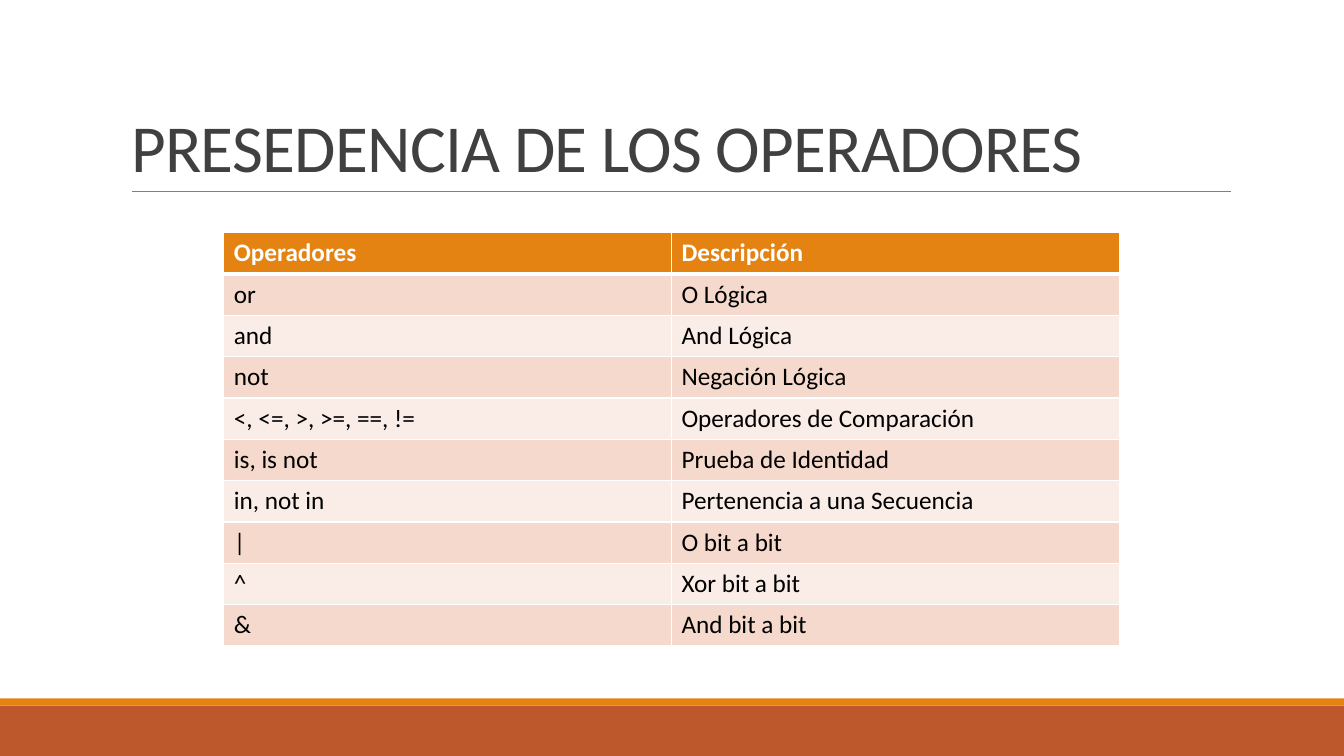
from lxml.etree import SubElement
from pptx import Presentation
from pptx.dml.color import RGBColor
from pptx.enum.shapes import MSO_CONNECTOR, MSO_SHAPE
from pptx.enum.text import MSO_ANCHOR, MSO_AUTO_SIZE, PP_ALIGN
from pptx.oxml.ns import qn
from pptx.util import Inches, Pt

COLORS = {
    "footer": "BD582C",
    "accent": "E48312",
    "rule": "808080",
    "title": "404040",
    "white": "FFFFFF",
    "black": "000000",
    "band_dark": "F5D9CC",
    "band_light": "FAEDE7",
}

OPERATORS = [
    ("Operadores", "Descripción"),
    ("or", "O Lógica"),
    ("and", "And Lógica"),
    ("not", "Negación Lógica"),
    ("<, <=, >, >=, ==, !=", "Operadores de Comparación"),
    ("is, is not", "Prueba de Identidad"),
    ("in, not in", "Pertenencia a una Secuencia"),
    ("|", "O bit a bit"),
    ("^", "Xor bit a bit"),
    ("&", "And bit a bit"),
]


def rgb(name):
    return RGBColor.from_string(COLORS[name])


class SlideBuilder:
    font_name = "Calibri"

    def __init__(self, slide):
        self.slide = slide

    def run(self, paragraph, text, size, color, bold=False):
        run = paragraph.add_run()
        run.text = text
        run.font.name = self.font_name
        run.font.size = Pt(size)
        run.font.bold = bold
        run.font.color.rgb = rgb(color)
        return run

    def band(self, top, height, color):
        band = self.slide.shapes.add_shape(
            MSO_SHAPE.RECTANGLE, 0, Inches(top), Inches(13.33), Inches(height))
        band.shadow.inherit = False
        band.fill.solid()
        band.fill.fore_color.rgb = rgb(color)
        band.line.fill.background()

    def rule(self, left, right, top):
        rule = self.slide.shapes.add_connector(
            MSO_CONNECTOR.STRAIGHT, Inches(left), Inches(top), Inches(right), Inches(top))
        rule.line.color.rgb = rgb("rule")
        rule.line.width = Pt(0.5)
        SubElement(rule._element.spPr, qn("a:effectLst"))

    def title(self, text, left, top, width, height):
        title = self.slide.shapes.title
        title.left, title.top = Inches(left), Inches(top)
        title.width, title.height = Inches(width), Inches(height)
        frame = title.text_frame
        frame.word_wrap = True
        frame.auto_size = MSO_AUTO_SIZE.NONE
        frame.vertical_anchor = MSO_ANCHOR.BOTTOM
        heading = frame.paragraphs[0]
        heading.alignment = PP_ALIGN.LEFT
        heading.line_spacing = 0.85
        run = self.run(heading, text, 48, "title")
        run.font._element.set("spc", "-50")

    def borders(self, cell, widths):
        properties = cell._tc.get_or_add_tcPr()
        for side, width in widths.items():
            border = SubElement(properties, qn(f"a:ln{side}"), w=str(Pt(width)))
            fill = SubElement(border, qn("a:solidFill"))
            SubElement(fill, qn("a:srgbClr"), val=COLORS["white"])

    def table(self, rows, left, top, column_width, row_height):
        columns = len(rows[0])
        table = self.slide.shapes.add_table(
            len(rows), columns, Inches(left), Inches(top),
            Inches(column_width * columns), Inches(row_height * len(rows))).table
        for column in table.columns:
            column.width = Inches(column_width)
        for index, texts in enumerate(rows):
            table.rows[index].height = Inches(row_height)
            header = index == 0
            band = "band_dark" if index % 2 else "band_light"
            for cell, text in zip(table.rows[index].cells, texts):
                self.borders(cell, {
                    "L": 1, "R": 1,
                    "T": 3 if index == 1 else 1,
                    "B": 3 if header else 1,
                })
                cell.fill.solid()
                cell.fill.fore_color.rgb = rgb("accent" if header else band)
                self.run(cell.text_frame.paragraphs[0], text, 18,
                         "white" if header else "black", bold=header)


def main():
    presentation = Presentation()
    presentation.slide_width = Inches(13.33)
    presentation.slide_height = Inches(7.5)
    builder = SlideBuilder(presentation.slides.add_slide(presentation.slide_layouts[5]))
    builder.band(7, 0.5, "footer")
    builder.band(6.93, 0.07, "accent")
    builder.rule(1.31, 12.21, 1.9)
    builder.title("PRESEDENCIA DE LOS OPERADORES", 1.2, 0.31, 11, 1.59)
    builder.table(OPERATORS, 2.22, 2.31, 4.44, 0.41)
    presentation.save("out.pptx")


if __name__ == "__main__":
    main()
